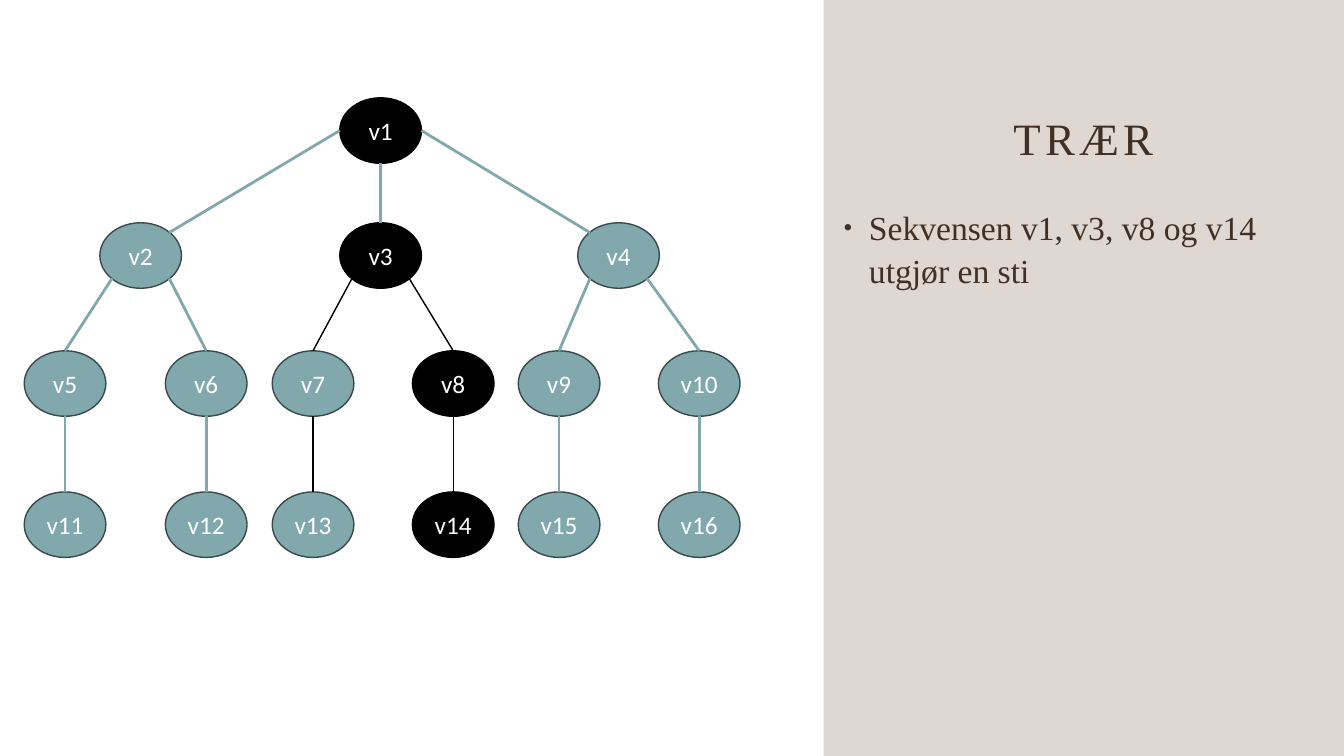
"""Build a slide showing a tree of nodes with one path highlighted."""
from lxml.etree import SubElement
from pptx import Presentation
from pptx.dml.color import RGBColor
from pptx.enum.shapes import MSO_CONNECTOR as Connector, MSO_SHAPE as Shape
from pptx.enum.text import MSO_ANCHOR as Anchor, PP_ALIGN as Align
from pptx.oxml.ns import qn
from pptx.util import Inches, Pt

BLACK = RGBColor(0x00, 0x00, 0x00)
WHITE = RGBColor(0xFF, 0xFF, 0xFF)
TEAL = RGBColor(0x81, 0xA8, 0xAC)
DARK_TEAL = RGBColor(0x39, 0x4A, 0x4B)
BROWN = RGBColor(0x83, 0x63, 0x48)
DARK_BROWN = RGBColor(0x41, 0x31, 0x24)

WIDTH, HEIGHT = 13.33, 7.5
NODE_WIDTH, NODE_HEIGHT = 0.81, 0.65
ROWS = [0.97, 2.21, 3.48, 4.88]
BRANCH_COLUMNS = [0.99, 3.37, 5.73]
LEAF_COLUMNS = [0.24, 1.64, 2.7, 4.09, 5.14, 6.53]
PATH = [1, 3, 8, 14]
BLACK_EDGE_PARENTS = [3, 7, 8]
SITES = {
    "top": (0.5, 0), "left": (0, 0.5), "right": (1, 0.5), "bottom": (0.5, 1),
    "top left": (0.15, 0.15), "top right": (0.85, 0.15),
    "bottom left": (0.15, 0.85), "bottom right": (0.85, 0.85),
}


def style_text(para, text, **formats):
    """Add a span of text and apply its font values."""
    span = para.add_run()
    span.text = text
    span.font.color.rgb = formats.pop("color")
    for name, value in formats.items():
        setattr(span.font, name, value)
    return span


def site_point(node, site):
    """Find a point on the outline of a node."""
    across, down = SITES[site]
    return int(node.left + across * node.width), int(node.top + down * node.height)


deck = Presentation()
deck.slide_width, deck.slide_height = Inches(WIDTH), Inches(HEIGHT)
page = deck.slides.add_slide(deck.slide_layouts[6])

panel_left = WIDTH * 0.6128
panel = page.shapes.add_shape(
    Shape.RECTANGLE, Inches(panel_left), 0, Inches(WIDTH - panel_left), Inches(HEIGHT))
panel.shadow.inherit = False
panel.fill.solid()
panel.fill.fore_color.rgb = BROWN
panel.line.fill.background()
panel_color = panel.fill._xPr.find(qn("a:solidFill"))[0]
SubElement(panel_color, qn("a:alpha"), val="25000")

title = page.shapes.add_textbox(Inches(8.89), Inches(0.26), Inches(3.71), Inches(1.43))
title.text_frame.word_wrap = True
title.text_frame.vertical_anchor = Anchor.BOTTOM
para = title.text_frame.paragraphs[0]
para.alignment, para.line_spacing = Align.CENTER, 0.9
span = style_text(para, "TRÆR", size=Pt(32), name="Times New Roman", color=DARK_BROWN)
span.font._element.set("spc", "300")

body = page.shapes.add_textbox(Inches(8.27), Inches(1.98), Inches(4.32), Inches(4.92))
body.text_frame.word_wrap = True
para = body.text_frame.paragraphs[0]
para.line_spacing = 1.06
indents = para._p.get_or_add_pPr()
indents.set("marL", str(Inches(0.25)))
indents.set("indent", str(Inches(-0.25)))
for tag, name, value in [("a:buSzPct", "val", "70000"),
                         ("a:buFont", "typeface", "Arial"),
                         ("a:buChar", "char", "•")]:
    SubElement(indents, qn(tag)).set(name, value)
style_text(para, "Sekvensen v1, v3, v8 og v14 utgjør en sti",
           size=Pt(24), name="Times New Roman", color=DARK_BROWN)

levels = [BRANCH_COLUMNS[1:2], BRANCH_COLUMNS, LEAF_COLUMNS, LEAF_COLUMNS]
places = [(left, top) for columns, top in zip(levels, ROWS) for left in columns]
nodes = {}
for number, (left, top) in enumerate(places, start=1):
    node = page.shapes.add_shape(
        Shape.OVAL, Inches(left), Inches(top), Inches(NODE_WIDTH), Inches(NODE_HEIGHT))
    node.shadow.inherit = False
    node.fill.solid()
    node.fill.fore_color.rgb = BLACK if number in PATH else TEAL
    node.line.color.rgb = BLACK if number in PATH else DARK_TEAL
    node.line.width = Pt(1)
    frame = node.text_frame
    frame.word_wrap = False
    frame.vertical_anchor = Anchor.MIDDLE
    frame.paragraphs[0].alignment = Align.CENTER
    style_text(frame.paragraphs[0], f"v{number}", size=Pt(18), name="Calibri", color=WHITE)
    nodes[number] = node

edges = [(1, 2, "left", "top right"), (1, 3, "bottom", "top"), (1, 4, "right", "top left")]
for parent in (2, 3, 4):
    edges.append((parent, 2 * parent + 1, "bottom left", "top"))
    edges.append((parent, 2 * parent + 2, "bottom right", "top"))
edges += [(parent, parent + 6, "bottom", "top") for parent in range(5, 11)]

for parent, child, start, end in edges:
    edge = page.shapes.add_connector(
        Connector.STRAIGHT, *site_point(nodes[parent], start), *site_point(nodes[child], end))
    if end == "top":
        edge.end_connect(nodes[child], 0)
    black = parent in BLACK_EDGE_PARENTS
    edge.line.color.rgb = BLACK if black else TEAL
    edge.line.width = Pt(1 if black else 2)
    SubElement(edge._element.spPr, qn("a:effectLst"))

deck.save("out.pptx")
